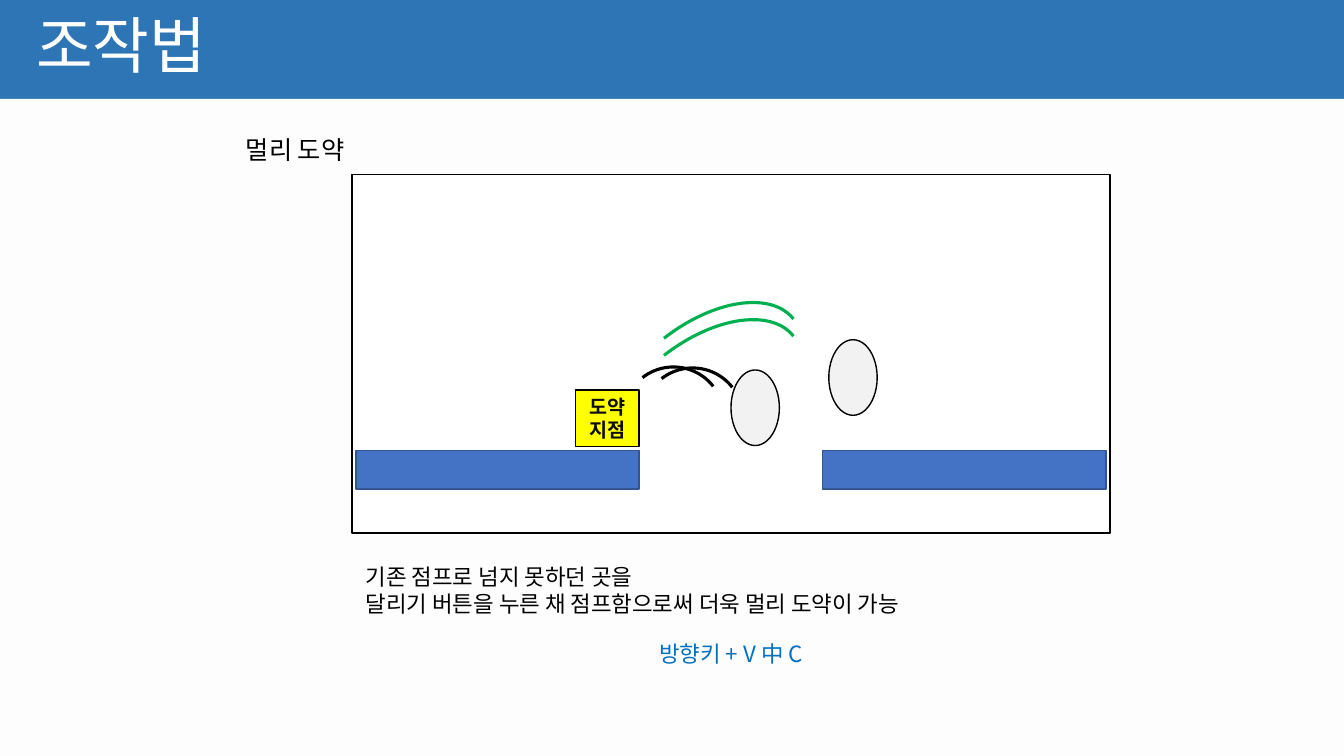
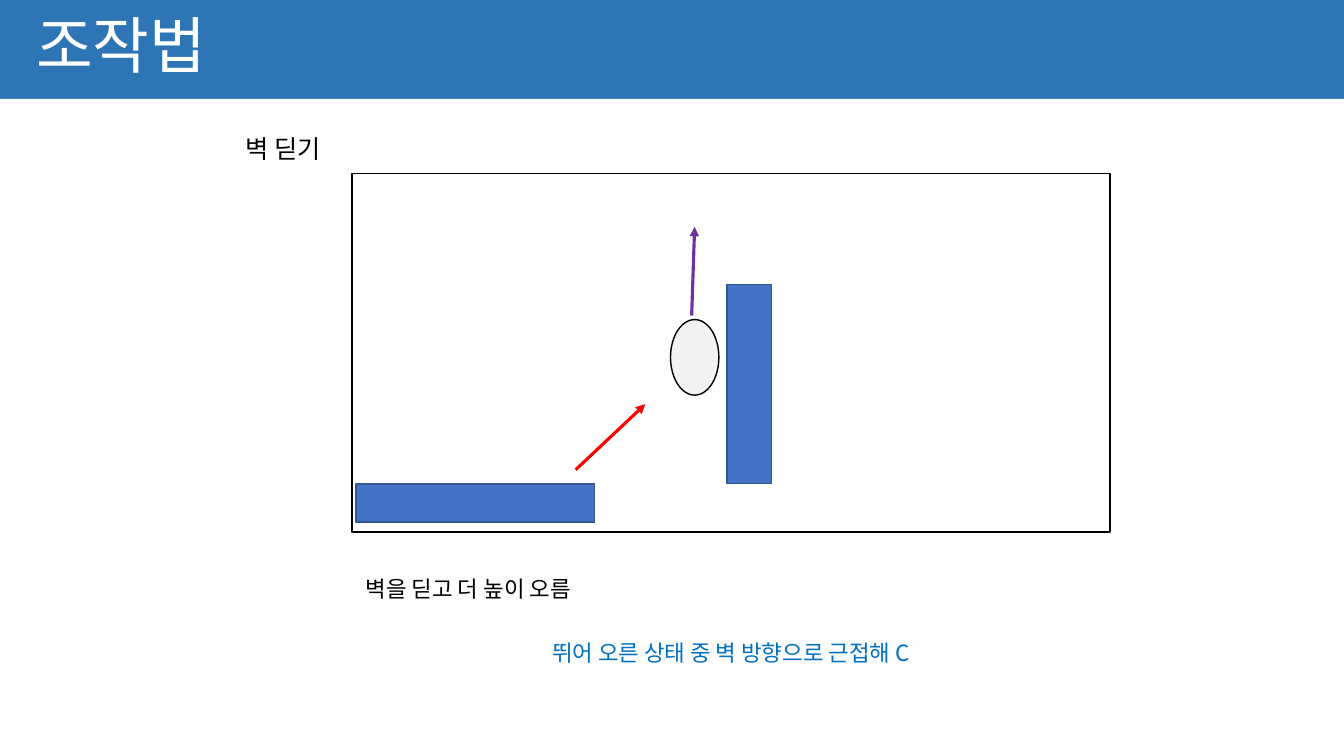
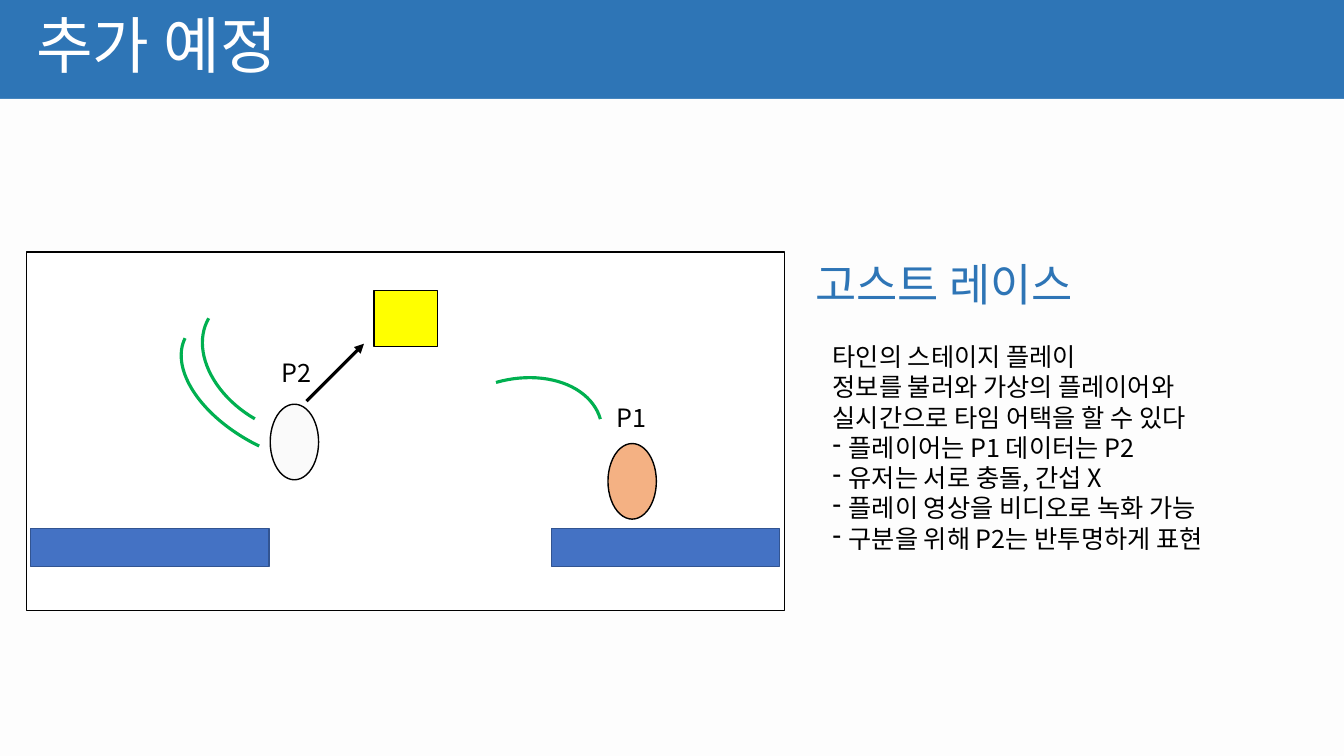
from dataclasses import dataclass

from lxml.etree import SubElement
from pptx import Presentation
from pptx.dml.color import RGBColor
from pptx.enum.shapes import MSO_CONNECTOR as Connector, MSO_SHAPE as Preset
from pptx.enum.text import MSO_ANCHOR as Anchor, PP_ALIGN as Align
from pptx.oxml.ns import qn
from pptx.util import Inches, Pt

FONT = "Noto Sans CJK KR"
BLUE, PAPER, WHITE, BLACK = "2E75B6", "FDFDFD", "FFFFFF", "000000"
GROUND, GROUND_EDGE, YELLOW, GREEN = "4472C4", "325491", "FFFF00", "00B050"
GREY, ORANGE, RED, PURPLE = "F2F2F2", "F4B183", "FF0000", "7030A0"
COMMAND_BLUE, NEAR_BLACK = "0070C0", "0D0D0D"

SLIDE_W, SLIDE_H = Inches(13.33), Inches(7.5)
CELL = SLIDE_H / 75
COLUMNS = SLIDE_W / CELL
BAND_ROWS = 9.8
STAGE_W, STAGE_H = 75.2, 35.6
STAGE_PAD = 0.4
GROUND_H = 3.8
RUNNER_W, RUNNER_H = 4.8, 7.5
BLOCK_W, BLOCK_H = 6.3, 5.6


def rgb(code):
    """Turn a hex string into a colour."""
    return RGBColor.from_string(code)


def cells(*counts):
    """Turn grid cells into lengths."""
    return [round(count * CELL) for count in counts]


def style(paragraph, size, color, align=Align.LEFT, bold=False):
    """Format a whole paragraph."""
    paragraph.alignment = align
    font = paragraph.font
    font.size, font.bold = Pt(size), bold
    font.color.rgb = rgb(color)
    font.name = FONT
    defaults = paragraph._p.get_or_add_pPr().find(qn("a:defRPr"))
    SubElement(defaults, qn("a:ea")).set("typeface", FONT)


def write(frame, lines, size, color, align=Align.LEFT, anchor=Anchor.TOP, bold=False):
    """Fill a text frame with one paragraph per line."""
    frame.word_wrap = True
    frame.vertical_anchor = anchor
    frame.text = "\n".join(lines)
    for paragraph in frame.paragraphs:
        style(paragraph, size, color, align, bold)


def indent(paragraph, margin, dash=0):
    """Indent a paragraph in inches, with a hanging dash if asked."""
    properties = paragraph._p.get_or_add_pPr()
    properties.set("marL", str(Inches(margin + dash)))
    properties.set("indent", str(-Inches(dash)))
    if dash:
        SubElement(properties, qn("a:buChar")).set("char", "-")


@dataclass
class Stage:
    """A framed game scene whose parts are placed in cells from its corner."""

    slide: object
    left: float
    top: float

    def place(self, left, top, width, height):
        """Turn a box in the stage into a box on the slide."""
        return cells(self.left + left, self.top + top, width, height)

    def shape(self, preset, box, fill=None, line=BLACK, weight=1):
        """Draw one outlined preset shape."""
        part = self.slide.shapes.add_shape(preset, *self.place(*box))
        part.shadow.inherit = False
        if fill:
            part.fill.solid()
            part.fill.fore_color.rgb = rgb(fill)
        else:
            part.fill.background()
        part.line.color.rgb = rgb(line)
        part.line.width = Pt(weight)
        return part

    def frame(self):
        """Draw the white frame."""
        self.shape(Preset.RECTANGLE, (0, 0, STAGE_W, STAGE_H), WHITE)

    def ground(self, left, top, width, height=GROUND_H):
        """Draw a floor or a wall."""
        self.shape(Preset.RECTANGLE, (left, top, width, height), GROUND, GROUND_EDGE)

    def runner(self, left, top, fill=GREY, opacity=100):
        """Draw a player."""
        player = self.shape(Preset.OVAL, (left, top, RUNNER_W, RUNNER_H), fill)
        if opacity < 100:
            color = player.element.spPr.find(qn("a:solidFill"))[0]
            SubElement(color, qn("a:alpha")).set("val", str(opacity * 1000))

    def block(self, left, top, lines=()):
        """Draw a yellow block with an optional label."""
        block = self.shape(Preset.RECTANGLE, (left, top, BLOCK_W, BLOCK_H), YELLOW)
        if lines:
            write(block.text_frame, lines, 14, NEAR_BLACK, Align.CENTER, Anchor.MIDDLE, True)

    def trail(self, box, rotation, color=GREEN):
        """Draw the arc of a jump."""
        self.shape(Preset.ARC, box, None, color, 2.25).rotation = rotation

    def arrow(self, start, end, color=BLACK):
        """Draw an arrow between two points."""
        ends = cells(self.left + start[0], self.top + start[1],
                     self.left + end[0], self.top + end[1])
        arrow = self.slide.shapes.add_connector(Connector.STRAIGHT, *ends)
        arrow.line.color.rgb = rgb(color)
        arrow.line.width = Pt(2.25)
        SubElement(arrow.line._get_or_add_ln(), qn("a:tailEnd")).set("type", "triangle")
        SubElement(arrow.element.spPr, qn("a:effectLst"))

    def text(self, box, lines, size, color=BLACK, align=Align.LEFT, anchor=Anchor.TOP):
        """Add a text box."""
        frame = self.slide.shapes.add_textbox(*self.place(*box)).text_frame
        write(frame, lines, size, color, align, anchor)
        return frame


def set_up_layout(deck):
    """Give the title-only layout its blue band, pale page and title place."""
    layout = deck.slide_layouts[5]
    background = deck.slide_master.background.fill
    background.solid()
    background.fore_color.rgb = rgb(BLUE)
    title = layout.placeholders[0]
    title.left, title.top, title.width, title.height = cells(2.6, 0, 115, 9.7)
    return layout


def add_titled_slide(deck, layout, title):
    """Add a slide with the pale page and a title in the band."""
    slide = deck.slides.add_slide(layout)
    if len(deck.slides) == 1:
        page = Stage(slide, 0, BAND_ROWS).shape(
            Preset.RECTANGLE, (0, 0, COLUMNS, 75 - BAND_ROWS), PAPER)
        page.line.fill.background()
        layout.shapes.element.insert(2, page.element)
    write(slide.shapes.title.text_frame, [title], 44, WHITE, anchor=Anchor.MIDDLE)
    slide.shapes.title.text_frame.paragraphs[0].line_spacing = 0.9
    return slide


def add_move_stage(slide, top, heading, description, command):
    """Add a stage with a heading above and its explanation below."""
    stage = Stage(slide, 34.9, top)
    width = STAGE_W - 2 * STAGE_PAD
    stage.frame()
    stage.text((-11.5, -4.5, 30, 4), [heading], 18)
    stage.text((STAGE_PAD, 38, width, 6.4), description, 16, anchor=Anchor.MIDDLE)
    stage.text((STAGE_PAD, 45.7, width, 3.7), [command], 16, COMMAND_BLUE,
               Align.CENTER, Anchor.MIDDLE)
    return stage


def draw_long_jump(stage):
    """Draw the gap crossed by a running jump."""
    floor_w = 28.1
    for left in (STAGE_PAD, STAGE_W - STAGE_PAD - floor_w):
        stage.ground(left, 27.4, floor_w)
    stage.runner(37.6, 19.4)
    stage.runner(47.3, 16.4)
    stage.block(22.2, 21.4, ["도약", "지점"])
    for left, top in ((26.9, 19.1), (28.8, 19.2)):
        stage.trail((left, top, 10, 10), 322, BLACK)
    for top in (16.6, 14.9):
        stage.trail((23.6, top, 22.6, 12.8), 322)


def draw_wall_jump(stage):
    """Draw the jump to a wall and up from it."""
    stage.ground(STAGE_PAD, 30.8, 23.7)
    stage.ground(37.2, 11, 4.4, 19.8)
    stage.runner(31.6, 14.5)
    stage.arrow((22.2, 29.4), (29.1, 22.9), RED)
    stage.arrow((33.7, 14.1), (34, 5.3), PURPLE)


def draw_ghost_race(stage):
    """Draw the player and the translucent rival."""
    stage.frame()
    stage.ground(STAGE_PAD, 27.4, 23.7)
    stage.ground(52.1, 27.4, 22.6)
    stage.runner(24.2, 15.1, opacity=37)
    stage.runner(57.7, 19, ORANGE)
    stage.block(34.5, 3.8)
    stage.trail((14.6, 7.1, 22.6, 12.8), 206)
    stage.trail((16.9, 4.7, 17.9, 12.7), 210)
    stage.trail((39.4, 12.7, 17.9, 12.7), 344)
    stage.arrow((27.8, 14.8), (33.5, 9.1))
    for name, left, top in (("P1", 56.9, 14.4), ("P2", 23.7, 10)):
        stage.text((left, top, 6.3, 4), [name], 18, align=Align.CENTER)


def add_feature_text(stage, heading, summary, rules):
    """Write the feature's heading, summary and dashed rules beside the stage."""
    frame = stage.text((77.3, 0, 56.4, 30.6), [heading], 32, BLUE)
    for line in summary + rules:
        paragraph = frame.add_paragraph()
        paragraph.text = line
        indent(paragraph, 0.17, 0.16 if line in rules else 0)
        style(paragraph, 18, BLACK)
    frame.paragraphs[1].space_before = Pt(22)


def main():
    """Build and save the deck."""
    deck = Presentation()
    deck.slide_width, deck.slide_height = SLIDE_W, SLIDE_H
    layout = set_up_layout(deck)

    draw_long_jump(add_move_stage(
        add_titled_slide(deck, layout, "조작법"), 17.3, "멀리 도약",
        ["기존 점프로 넘지 못하던 곳을",
         "달리기 버튼을 누른 채 점프함으로써 더욱 멀리 도약이 가능"],
        "방향키 + V 中 C"))

    draw_wall_jump(add_move_stage(
        add_titled_slide(deck, layout, "조작법"), 17.2, "벽 딛기",
        ["벽을 딛고 더 높이 오름"],
        "뛰어 오른 상태 중 벽 방향으로 근접해 C"))

    race = Stage(add_titled_slide(deck, layout, "추가 예정"), 2.6, 25)
    draw_ghost_race(race)
    add_feature_text(
        race, "고스트 레이스",
        ["타인의 스테이지 플레이",
         "정보를 불러와 가상의 플레이어와",
         "실시간으로 타임 어택을 할 수 있다"],
        ["플레이어는 P1 데이터는 P2",
         "유저는 서로 충돌, 간섭 X",
         "플레이 영상을 비디오로 녹화 가능",
         "구분을 위해 P2는 반투명하게 표현"])

    deck.save("out.pptx")


if __name__ == "__main__":
    main()
